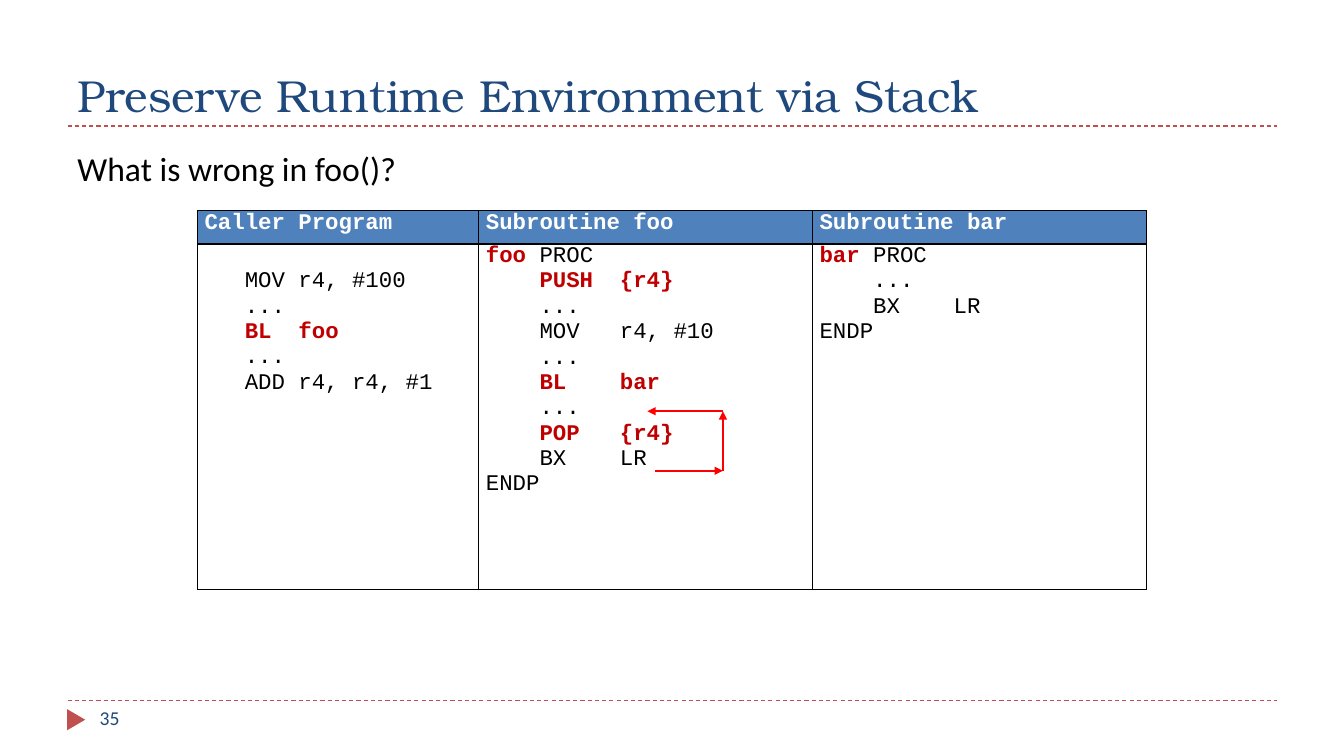
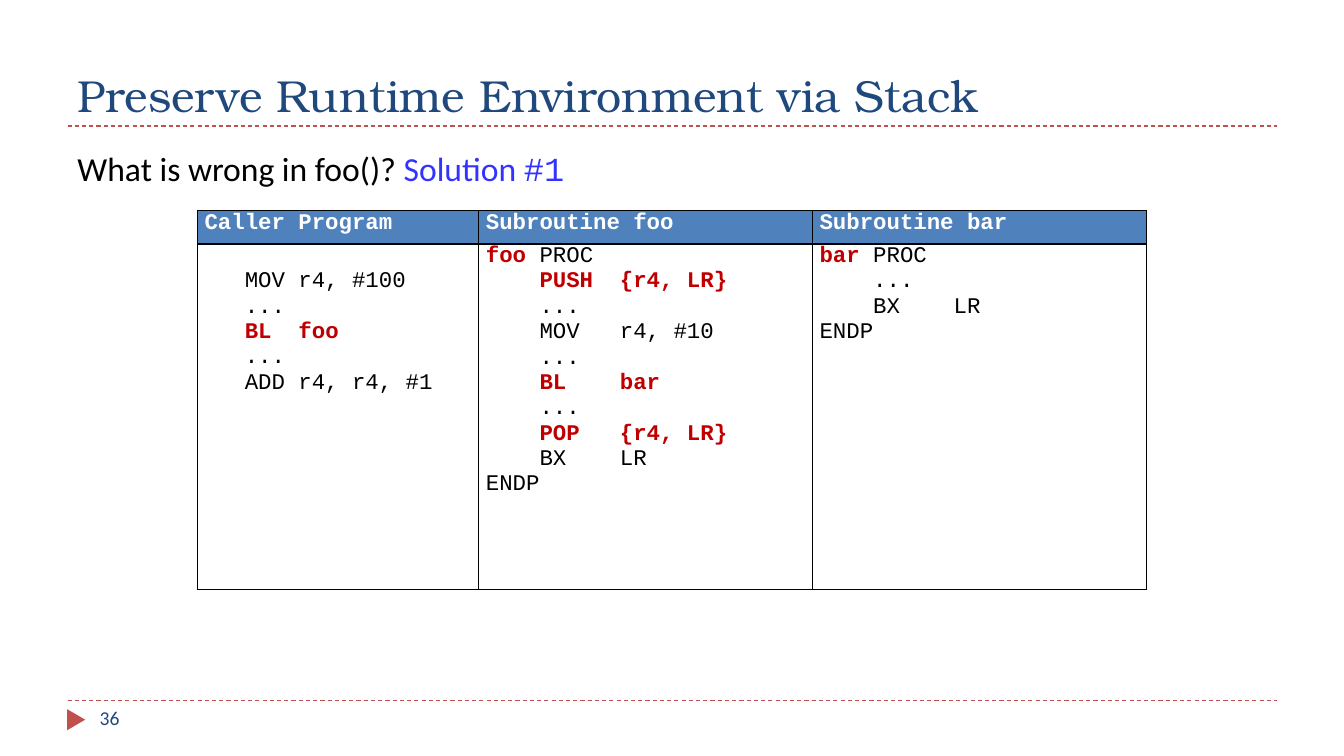
"""Build two slides on preserving the runtime environment via the stack."""
from itertools import pairwise

from lxml.etree import SubElement
from pptx import Presentation
from pptx.dml.color import RGBColor
from pptx.enum.dml import MSO_LINE
from pptx.enum.shapes import MSO_CONNECTOR, MSO_SHAPE
from pptx.enum.text import MSO_ANCHOR
from pptx.oxml import parse_xml
from pptx.oxml.ns import nsdecls, qn
from pptx.util import Pt

PX = 9144
NAVY, BRICK, BLUE, HEADER = "1F497D", "C0504D", "3333FF", "4F81BD"
BLACK, WHITE, CODE_RED, ARROW_RED = "000000", "FFFFFF", "C00000", "FF0000"
SERIF, SANS, MONO = "TeX Gyre Bonum", "Calibri", "Courier New"
LEFT, RIGHT = 67, 1267
TITLE_RULE, FOOTER_RULE = 125, 695
COLUMN_WIDTHS = [279, 331, 331]
ROW_HEIGHTS = [33, 343]
CODE_LINE = 25
HEADINGS = ["Caller Program", "Subroutine foo", "Subroutine bar"]

CALLER = """   MOV r4, #100
   ...
   *BL  foo*
   ...
   ADD r4, r4, #1"""
FOO = """*foo* PROC
    *PUSH  {saved}*
    ...
    MOV   r4, #10
    ...
    *BL    bar*
    ...
    *POP   {saved}*
    BX    LR
ENDP"""
BAR = """*bar* PROC
    ...
    BX    LR
ENDP"""

QUESTION = ("What is wrong in foo()?", SANS, BLACK)
SLIDES = [
    (35, "{r4}", [QUESTION], [(650, 467), (717, 467), (717, 408), (642, 408)]),
    (36, "{r4, LR}", [QUESTION, (" Solution ", SANS, BLUE), ("#1", MONO, BLUE)], []),
]


def color(value):
    return RGBColor.from_string(value)


def add_spans(para, spans, size, bold=False):
    for text, font_name, font_color, *emphasis in spans:
        span = para.add_run()
        span.text = text
        span.font.name = font_name
        span.font.size = Pt(size)
        span.font.color.rgb = color(font_color)
        span.font.bold = emphasis[0] if emphasis else bold


deck = Presentation()
deck.slide_width, deck.slide_height = 1333 * PX, 750 * PX

for number, saved, question, return_route in SLIDES:
    page = deck.slides.add_slide(deck.slide_layouts[6])

    segments = [((LEFT, y), (RIGHT, y), BRICK, 0.75) for y in (FOOTER_RULE, TITLE_RULE)]
    segments += [(start, end, ARROW_RED, 1.5) for start, end in pairwise(return_route)]

    marker = page.shapes.add_shape(
        MSO_SHAPE.ISOSCELES_TRIANGLE, 65 * PX, 705 * PX, 21 * PX, 18 * PX)
    marker.rotation = 90
    marker.shadow.inherit = False
    marker.fill.solid()
    marker.fill.fore_color.rgb = color(BRICK)
    marker.line.fill.background()

    texts = [
        (LEFT, 17, 1200, 108, MSO_ANCHOR.BOTTOM, 32,
         [("Preserve Runtime Environment via Stack", SERIF, NAVY)]),
        (89, FOOTER_RULE, 289, 40, MSO_ANCHOR.TOP, 14, [(str(number), SANS, NAVY)]),
        (LEFT, 142, 600, 50, MSO_ANCHOR.TOP, 24, question),
    ]
    for x, y, width, height, anchor, size, spans in texts:
        box = page.shapes.add_textbox(x * PX, y * PX, width * PX, height * PX)
        box.text_frame.word_wrap = True
        box.text_frame.vertical_anchor = anchor
        add_spans(box.text_frame.paragraphs[0], spans, size)

    table = page.shapes.add_table(
        2, 3, 196 * PX, 209 * PX, sum(COLUMN_WIDTHS) * PX, sum(ROW_HEIGHTS) * PX).table
    table.horz_banding = False
    for column, width in zip(table.columns, COLUMN_WIDTHS):
        column.width = width * PX
    for row, height in zip(table.rows, ROW_HEIGHTS):
        row.height = height * PX

    listings = [CALLER, FOO.replace("{saved}", saved), BAR]
    for row_index, contents in enumerate([HEADINGS, listings]):
        is_header = row_index == 0
        for column_index, content in enumerate(contents):
            cell = table.cell(row_index, column_index)
            cell.margin_left = cell.margin_right = 7 * PX
            cell.margin_top = CODE_LINE * PX if content == CALLER else 0
            cell.margin_bottom = 0
            properties = cell._tc.get_or_add_tcPr()
            for side in ("lnL", "lnR", "lnT", "lnB"):
                properties.append(parse_xml(
                    f'<a:{side} {nsdecls("a")} w="{Pt(1)}"><a:solidFill>'
                    f'<a:srgbClr val="{BLACK}"/></a:solidFill></a:{side}>'))
            if is_header:
                cell.fill.solid()
                cell.fill.fore_color.rgb = color(HEADER)
            else:
                cell.fill.background()

            frame = cell.text_frame
            for line_index, line in enumerate(content.split("\n")):
                para = frame.add_paragraph() if line_index else frame.paragraphs[0]
                spans = [
                    (part, MONO, WHITE if is_header else (BLACK, CODE_RED)[index % 2],
                     is_header or index % 2 == 1)
                    for index, part in enumerate(line.split("*")) if part
                ]
                add_spans(para, spans, 16)

    for start, end, line_color, weight in segments:
        connector = page.shapes.add_connector(
            MSO_CONNECTOR.STRAIGHT, *(value * PX for value in start + end))
        connector.line.color.rgb = color(line_color)
        connector.line.width = Pt(weight)
        if line_color == BRICK:
            connector.line.dash_style = MSO_LINE.DASH
        else:
            SubElement(connector.line._get_or_add_ln(), qn("a:tailEnd"), type="triangle")
        SubElement(connector._element.spPr, qn("a:effectLst"))

deck.save("out.pptx")
